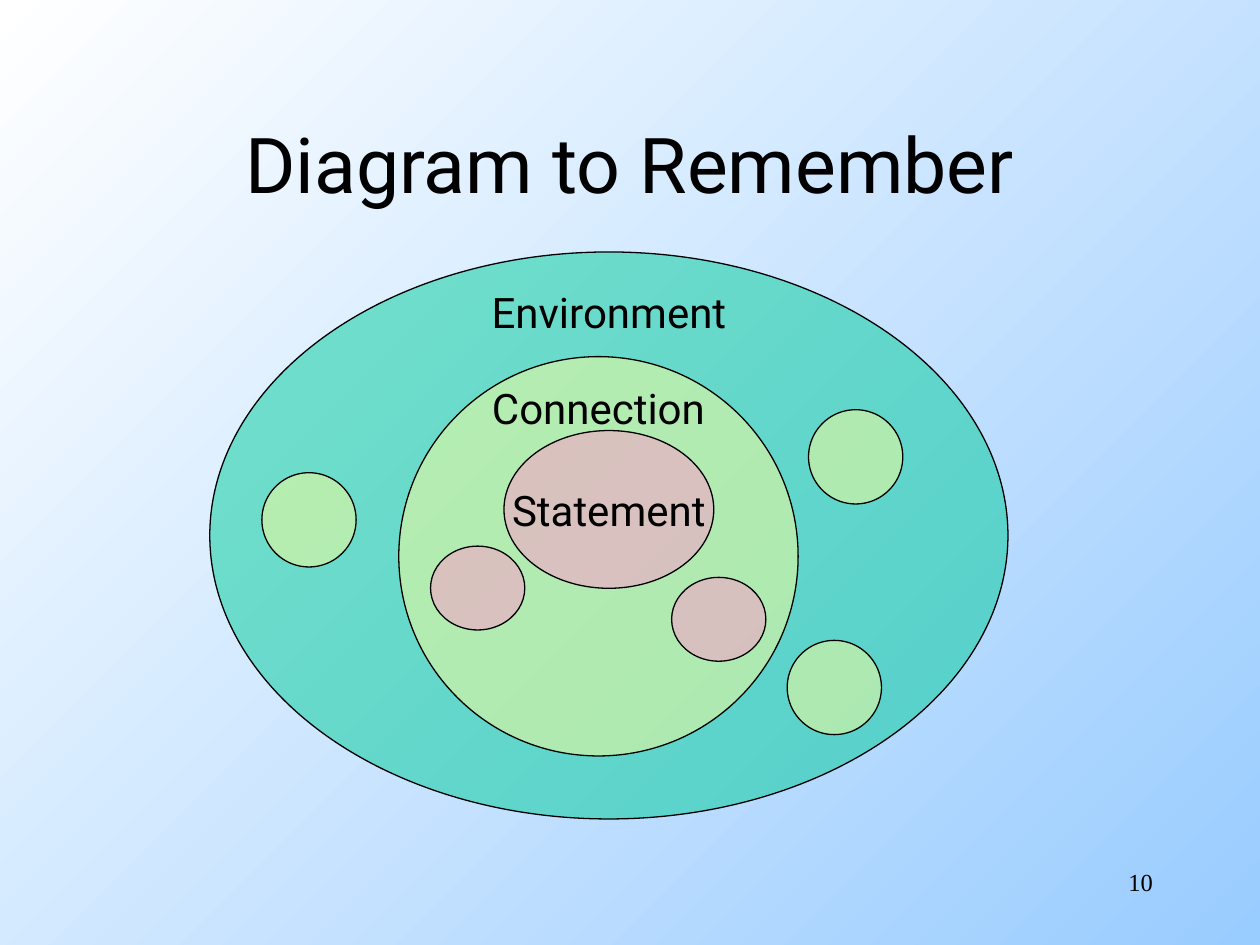
from lxml.etree import SubElement
from pptx import Presentation
from pptx.dml.color import RGBColor
from pptx.enum.shapes import MSO_SHAPE
from pptx.enum.text import MSO_ANCHOR, PP_ALIGN
from pptx.oxml.ns import qn
from pptx.util import Cm, Pt

BLACK, TEAL, YELLOW, PINK = "000000", "00CC99", "FFFF99", "FF99CC"


def paint(color, value):
    """Set a colour from a hex string."""
    color.rgb = RGBColor.from_string(value)


def write(sp, text, size, font="Roboto", align=PP_ALIGN.CENTER,
          anchor=MSO_ANCHOR.MIDDLE, wrap=True):
    """Write one line of black text in a shape."""
    tf = sp.text_frame
    tf.word_wrap = wrap
    tf.vertical_anchor = anchor
    p = tf.paragraphs[0]
    p.alignment = align
    r = p.add_run()
    r.text = text
    r.font.size = Pt(size)
    r.font.name = font
    paint(r.font.color, BLACK)


def add_text(s, box, text, size, **style):
    """Add a text box at a box given in centimetres."""
    sp = s.shapes.add_textbox(*map(Cm, box))
    write(sp, text, size, **style)


def add_oval(s, box, fill):
    """Add a half-transparent outlined ellipse."""
    sp = s.shapes.add_shape(MSO_SHAPE.OVAL, *map(Cm, box))
    sp.shadow.inherit = False
    sp.fill.solid()
    paint(sp.fill.fore_color, fill)
    color = sp.fill._xPr.find(qn("a:solidFill"))[0]
    SubElement(color, qn("a:alpha"), val="50000")
    sp.line.width = Pt(0.75)
    paint(sp.line.color, BLACK)
    return sp


def add_background(s):
    """Fill the background with a diagonal gradient."""
    fill = s.background.fill
    fill.gradient()
    fill.gradient_angle = 315
    for stop, position, value in zip(fill.gradient_stops, (0, 1), ("FFFFFF", "99CCFF")):
        stop.position = position
        paint(stop.color, value)


def add_diagram(s, x, y, w, h):
    """Nest connections and statements inside the environment ellipse."""
    connection = (x + 3.81, y + 2.11, 8.05, 8.05)
    add_oval(s, (x, y, w, h), TEAL)
    add_oval(s, connection, YELLOW)
    for dx, dy in ((1.05, 4.45), (12.07, 3.18), (11.64, 7.83)):
        add_oval(s, (x + dx, y + dy, 1.9, 1.9), YELLOW)
    sp = add_oval(s, (x + 5.93, y + 3.6, 4.23, 3.18), PINK)
    write(sp, "Statement", 24, wrap=False)
    for dx, dy in ((4.45, 5.93), (9.31, 6.56)):
        add_oval(s, (x + dx, y + dy, 1.9, 1.69), PINK)
    add_text(s, (x, y + 0.6, w, 1.2), "Environment", 24)
    left, top, width, _ = connection
    add_text(s, (left, top + 0.43, width, 1.2), "Connection", 24)


def build_slide(prs):
    """Build the diagram slide."""
    s = prs.slides.add_slide(prs.slide_layouts[6])
    add_background(s)
    add_text(s, (18.2, 17.36, 5.29, 1.27), "10", 14, font="Times New Roman",
             align=PP_ALIGN.RIGHT, anchor=MSO_ANCHOR.TOP)
    add_text(s, (1.9, 1.7, 21.6, 3.18), "Diagram to Remember", 44)
    add_diagram(s, 4.23, 5.08, 16.09, 11.43)


prs = Presentation()
prs.slide_width, prs.slide_height = Cm(25.4), Cm(19.05)
build_slide(prs)
prs.save("out.pptx")
